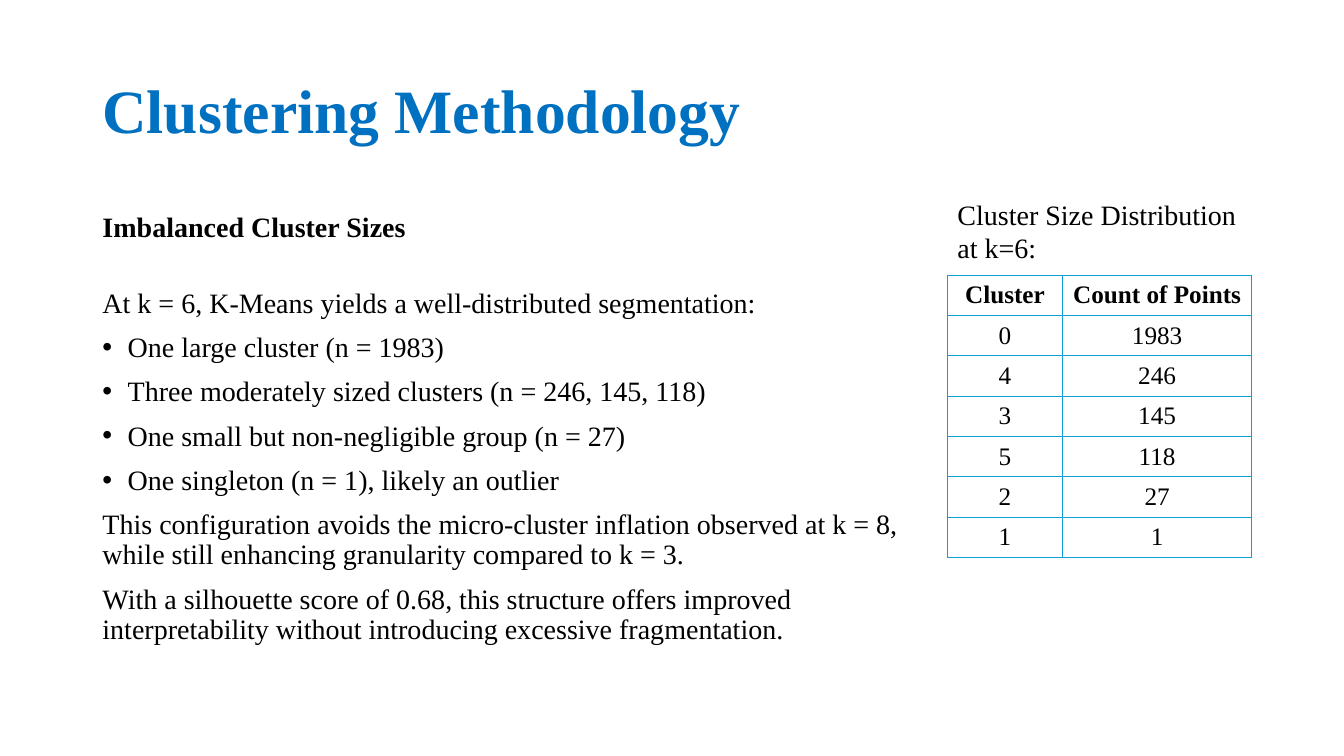
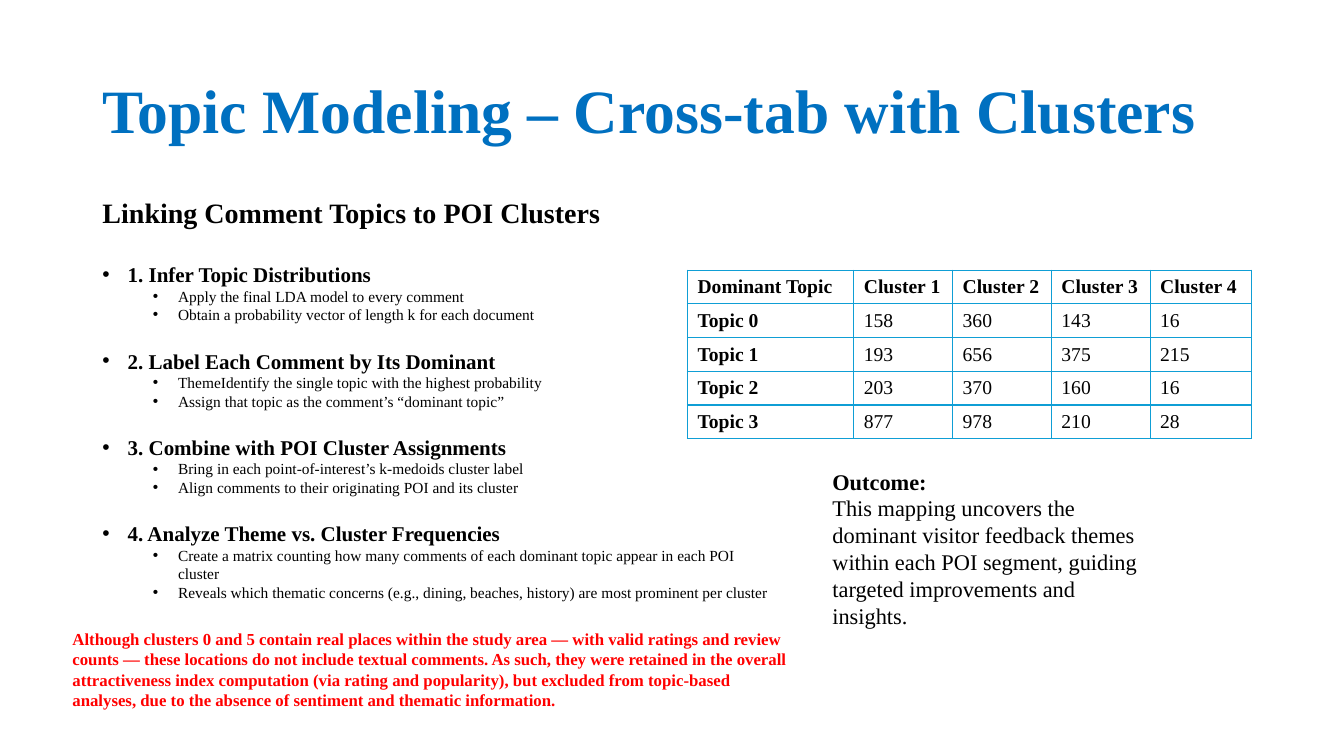
"""Build two slides on clustering method and topic modeling."""
from dataclasses import dataclass, replace

from lxml import etree
from pptx import Presentation
from pptx.dml.color import RGBColor
from pptx.enum.text import MSO_ANCHOR, MSO_AUTO_SIZE, PP_ALIGN
from pptx.oxml.ns import qn
from pptx.util import Inches, Pt

MIDDLE, TOP = MSO_ANCHOR.MIDDLE, MSO_ANCHOR.TOP
LEFT, CENTER = PP_ALIGN.LEFT, PP_ALIGN.CENTER
NO_AUTOFIT = MSO_AUTO_SIZE.NONE

BLUE = RGBColor(0x00, 0x70, 0xC0)
BLACK = RGBColor(0x00, 0x00, 0x00)
RED = RGBColor(0xFF, 0x00, 0x00)
BORDER = RGBColor(0x0F, 0x9E, 0xD5)

FONT = "Times New Roman"
COLUMNS, ROWS = 40, 30
MARGIN = 2.75
HANGING = 0.25


@dataclass(frozen=True)
class TextStyle:
    """Describe how a paragraph looks."""
    size: float
    bold: bool = False
    color: RGBColor = BLACK
    align: PP_ALIGN = LEFT
    before: float = 0
    spacing: float = 1.0
    bullet: bool = False
    level: int = 0


TITLE = TextStyle(44, bold=True, color=BLUE, spacing=0.9)
HEADING = TextStyle(20, bold=True)
CAPTION = TextStyle(20)
BODY = TextStyle(20, before=10, spacing=0.9)
INTRO = replace(BODY, before=33)
BULLET = replace(BODY, bullet=True)
STEP = TextStyle(15, bold=True, before=17.25, bullet=True)
FIRST_STEP = replace(STEP, before=23)
DETAIL = TextStyle(11, bullet=True, level=1)
OUTCOME = TextStyle(16)
NOTE = TextStyle(12, bold=True, color=RED)


class Deck:
    """Hold the presentation, its grid and the current slide."""

    def __init__(self):
        self.presentation = Presentation()
        self.presentation.slide_width = Inches(40 / 3)
        self.presentation.slide_height = Inches(7.5)
        self.column = self.presentation.slide_width / COLUMNS
        self.row = self.presentation.slide_height / ROWS
        self.slide = None

    def box(self, left, top, width, height):
        """Convert grid columns and rows to slide lengths."""
        return (round(left * self.column), round(top * self.row),
                round(width * self.column), round(height * self.row))

    def format_paragraph(self, paragraph, style):
        """Apply a style to a paragraph and its runs."""
        paragraph.level = style.level
        paragraph.alignment = style.align
        paragraph.line_spacing = style.spacing
        paragraph.space_before = Pt(style.before)
        properties = paragraph._p.get_or_add_pPr()
        indent = HANGING if style.bullet else 0
        properties.set("marL", str(Inches(indent + style.level * 0.5)))
        properties.set("indent", str(Inches(-indent)))
        if style.bullet:
            etree.SubElement(properties, qn("a:buFont")).set("typeface", "Arial")
            etree.SubElement(properties, qn("a:buChar")).set("char", "•")
        else:
            etree.SubElement(properties, qn("a:buNone"))
        for run in paragraph.runs:
            run.font.name = FONT
            run.font.size = Pt(style.size)
            run.font.bold = style.bold
            run.font.color.rgb = style.color

    def fill_text(self, text_frame, lines, anchor):
        """Write (text, style) lines into a text frame."""
        text_frame.word_wrap = True
        text_frame.auto_size = NO_AUTOFIT
        text_frame.vertical_anchor = anchor
        text_frame.text = "\n".join(text for text, _ in lines)
        for paragraph, (_, style) in zip(text_frame.paragraphs, lines):
            self.format_paragraph(paragraph, style)

    def place(self, shape, position):
        """Move a shape to a grid position."""
        shape.left, shape.top, shape.width, shape.height = self.box(*position)

    def add_slide(self, title):
        """Start a slide with the shared title style."""
        layout = self.presentation.slide_layouts[1]
        self.slide = self.presentation.slides.add_slide(layout)
        shape = self.slide.shapes.title
        self.place(shape, (MARGIN, 1.6, 34.5, 5.8))
        self.fill_text(shape.text_frame, [(title, TITLE)], MIDDLE)

    def add_body(self, position, lines):
        """Fill the body placeholder."""
        shape = self.slide.placeholders[1]
        self.place(shape, position)
        self.fill_text(shape.text_frame, lines, MIDDLE)

    def add_text(self, position, lines, anchor=TOP):
        """Add a text box."""
        shape = self.slide.shapes.add_textbox(*self.box(*position))
        self.fill_text(shape.text_frame, lines, anchor)

    def add_border(self, cell):
        """Draw a thin line on all sides of a cell."""
        properties = cell._tc.get_or_add_tcPr()
        for side in ("a:lnL", "a:lnR", "a:lnT", "a:lnB"):
            line = etree.SubElement(properties, qn(side), w=str(Pt(1)))
            fill = etree.SubElement(line, qn("a:solidFill"))
            etree.SubElement(fill, qn("a:srgbClr"), val=str(BORDER))

    def add_table(self, left, top, widths, row_height, rows, style,
                  bold_labels=False):
        """Add a bordered table with a bold header row."""
        position = self.box(left, top, sum(widths), row_height * len(rows))
        table = self.slide.shapes.add_table(
            len(rows), len(widths), *position).table
        table.first_row = table.horz_banding = False
        for column, width in zip(table.columns, widths):
            column.width = round(width * self.column)
        for row_index, values in enumerate(rows):
            table.rows[row_index].height = round(row_height * self.row)
            for column_index, value in enumerate(values):
                cell = table.cell(row_index, column_index)
                cell.text_frame.text = str(value)
                cell.vertical_anchor = MIDDLE
                bold = row_index == 0 or (bold_labels and column_index == 0)
                self.format_paragraph(cell.text_frame.paragraphs[0],
                                      replace(style, bold=bold))
                self.add_border(cell)
                cell.fill.background()


def add_methodology(deck):
    """Build the slide on cluster sizes."""
    deck.add_slide("Clustering Methodology")
    deck.add_body((MARGIN, 8, 24.8, 17.92), [
        ("Imbalanced Cluster Sizes", HEADING),
        ("At k = 6, K-Means yields a well-distributed segmentation:", INTRO),
        ("One large cluster (n = 1983)", BULLET),
        ("Three moderately sized clusters (n = 246, 145, 118)", BULLET),
        ("One small but non-negligible group (n = 27)", BULLET),
        ("One singleton (n = 1), likely an outlier", BULLET),
        ("This configuration avoids the micro-cluster inflation observed at "
         "k = 8, while still enhancing granularity compared to k = 3.", BODY),
        ("With a silhouette score of 0.68, this structure offers improved "
         "interpretability without introducing excessive fragmentation.", BODY),
    ])
    deck.add_text((28.2, 7.6, 9.06, 3.1),
                  [("Cluster Size Distribution at k=6:", CAPTION)], MIDDLE)
    sizes = [("Cluster", "Count of Points"), (0, 1983), (4, 246), (3, 145),
             (5, 118), (2, 27), (1, 1)]
    deck.add_table(28.2, 10.92, (3.42, 5.64), 1.6, sizes,
                   TextStyle(18, align=CENTER))


def add_cross_tab(deck):
    """Build the slide that links topics to clusters."""
    steps = [
        ("Infer Topic Distributions",
         "Apply the final LDA model to every comment",
         "Obtain a probability vector of length k for each document"),
        ("Label Each Comment by Its Dominant",
         "ThemeIdentify the single topic with the highest probability",
         "Assign that topic as the comment’s “dominant topic”"),
        ("Combine with POI Cluster Assignments",
         "Bring in each point-of-interest’s k-medoids cluster label",
         "Align comments to their originating POI and its cluster"),
        ("Analyze Theme vs. Cluster Frequencies",
         "Create a matrix counting how many comments of each dominant topic "
         "appear in each POI cluster",
         "Reveals which thematic concerns (e.g., dining, beaches, history) "
         "are most prominent per cluster"),
    ]
    lines = [("Linking Comment Topics to POI Clusters", HEADING)]
    for number, (step, *details) in enumerate(steps, start=1):
        lines.append((f"{number}. {step}", FIRST_STEP if number == 1 else STEP))
        lines.extend((detail, DETAIL) for detail in details)

    deck.add_slide("Topic Modeling – Cross-tab with Clusters")
    deck.add_body((MARGIN, 7.4, 20.43, 16.84), lines)
    deck.add_text((24.48, 18.36, 10, 6.88), [
        ("Outcome:", replace(OUTCOME, bold=True)),
        ("This mapping uncovers the dominant visitor feedback themes within "
         "each POI segment, guiding targeted improvements and insights.",
         OUTCOME),
    ])
    counts = [(158, 360, 143, 16), (193, 656, 375, 215),
              (203, 370, 160, 16), (877, 978, 210, 28)]
    header = ("Dominant Topic", *(f"Cluster {n}" for n in range(1, 5)))
    rows = [header] + [(f"Topic {n}", *row) for n, row in enumerate(counts)]
    deck.add_table(20.46, 10.72, (4.95, 2.94, 2.94, 2.94, 3.03), 1.34, rows,
                   TextStyle(14), bold_labels=True)
    deck.add_text((1.86, 24.76, 21.96, 3.64), [
        ("Although clusters 0 and 5 contain real places within the study area "
         "— with valid ratings and review counts — these locations do not "
         "include textual comments. As such, they were retained in the overall "
         "attractiveness index computation (via rating and popularity), but "
         "excluded from topic-based analyses, due to the absence of sentiment "
         "and thematic information.", NOTE),
    ])


def main():
    """Build and save the presentation."""
    deck = Deck()
    add_methodology(deck)
    add_cross_tab(deck)
    deck.presentation.save("out.pptx")


if __name__ == "__main__":
    main()
